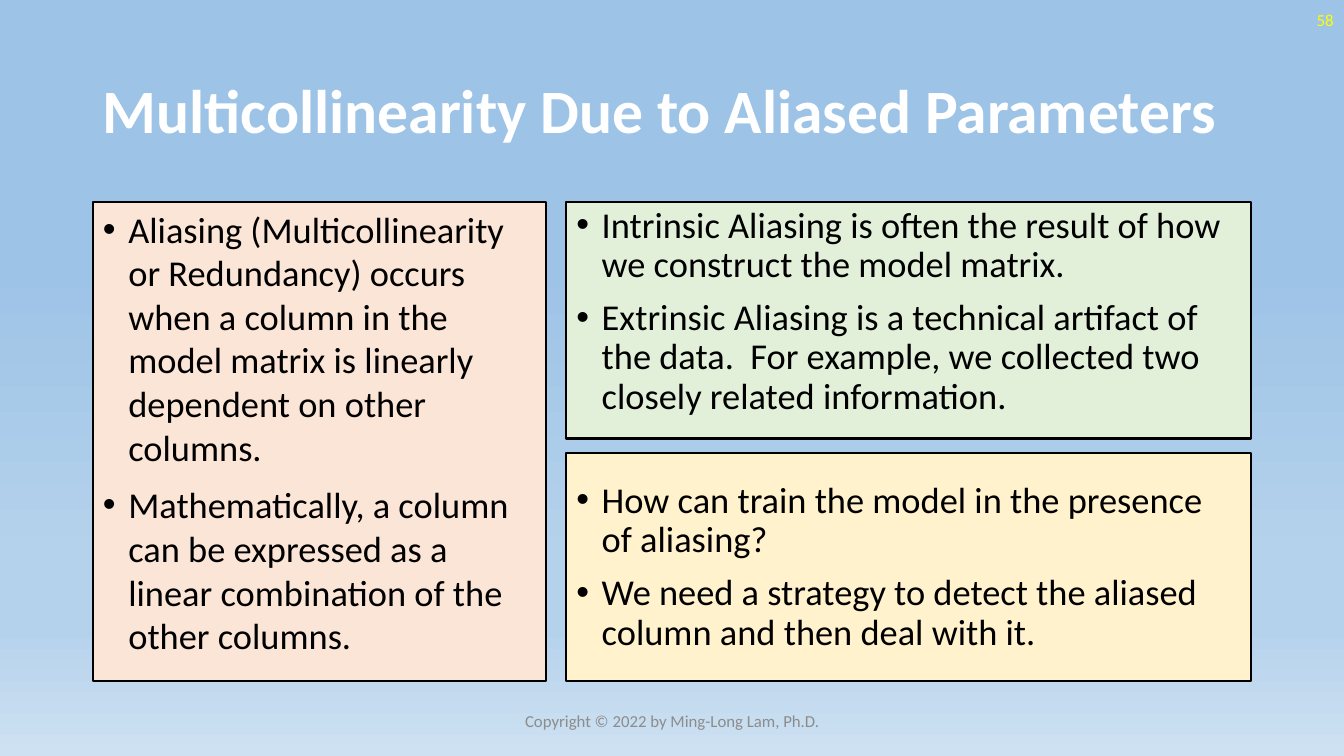
from dataclasses import dataclass

from lxml.etree import SubElement
from pptx import Presentation
from pptx.dml.color import RGBColor
from pptx.enum.text import MSO_ANCHOR as Anchor, MSO_AUTO_SIZE as AutoSize, PP_ALIGN as Align
from pptx.oxml.ns import qn
from pptx.slide import Slide
from pptx.text.text import TextFrame, _Paragraph as Paragraph
from pptx.util import Cm, Pt

FONT = "Calibri"
INDENT = Cm(0.64)
COMPARISON_LAYOUT = 4
GRADIENT = [(35, "9DC3E6"), (74, "B5D2EC"), (83, "B5D2EC"), (100, "CEE1F2")]


@dataclass
class Box:
    left: float
    top: float
    width: float
    height: float


@dataclass
class Panel:
    box: Box
    fill: str
    anchor: Anchor
    line_spacing: float
    bullets: list[str]


@dataclass
class Label:
    box: Box
    text: str
    color: str
    alignment: Align


TITLE_BOX = Box(2.34, 1.02, 29.21, 3.68)
PANELS = [
    Panel(Box(2.34, 5.08, 11.43, 12.09), "FBE5D6", Anchor.TOP, 1.0, [
        "Aliasing (Multicollinearity or Redundancy) occurs when a column in the model matrix "
        "is linearly dependent on other columns.",
        "Mathematically, a column can be expressed as a linear combination of the other columns.",
    ]),
    Panel(Box(14.27, 5.08, 17.25, 5.97), "E2F0D9", Anchor.TOP, 0.9, [
        "Intrinsic Aliasing is often the result of how we construct the model matrix.",
        "Extrinsic Aliasing is a technical artifact of the data.  For example, "
        "we collected two closely related information.",
    ]),
    Panel(Box(14.27, 11.42, 17.25, 5.75), "FFF2CC", Anchor.MIDDLE, 0.9, [
        "How can train the model in the presence of aliasing?",
        "We need a strategy to detect the aliased column and then deal with it.",
    ]),
]
LABELS = [
    Label(Box(11.23, 17.65, 11.43, 1.02), "Copyright © 2022 by Ming-Long Lam, Ph.D.",
          "8C8C8C", Align.CENTER),
    Label(Box(26.24, 0, 7.62, 1.02), "58", "FFFF00", Align.RIGHT),
]


def rgb(color: str) -> RGBColor:
    return RGBColor.from_string(color)


def place(shape, box: Box) -> None:
    shape.left, shape.top = Cm(box.left), Cm(box.top)
    shape.width, shape.height = Cm(box.width), Cm(box.height)


def set_frame(frame: TextFrame, anchor: Anchor) -> None:
    frame.word_wrap = True
    frame.auto_size = AutoSize.NONE
    frame.vertical_anchor = anchor


def format_runs(paragraph: Paragraph, size: float, color: str, bold: bool = False) -> None:
    for run in paragraph.runs:
        run.font.name = FONT
        run.font.size = Pt(size)
        run.font.bold = bold
        run.font.color.rgb = rgb(color)


def add_bullet(paragraph: Paragraph) -> None:
    properties = paragraph._p.get_or_add_pPr()
    properties.set("marL", str(INDENT))
    properties.set("indent", str(-INDENT))
    SubElement(properties, qn("a:buFont")).set("typeface", "Arial")
    SubElement(properties, qn("a:buChar")).set("char", "•")


def paint_background(slide: Slide) -> None:
    fill = slide.background.fill
    fill.gradient()
    fill.gradient_angle = 270
    stops = slide.element.xpath(".//a:gsLst")[0]
    for stop in list(stops):
        stops.remove(stop)
    for percent, color in GRADIENT:
        stop = SubElement(stops, qn("a:gs"))
        stop.set("pos", str(percent * 1000))
        SubElement(stop, qn("a:srgbClr")).set("val", color)


def write_title(slide: Slide, text: str) -> None:
    title = slide.shapes.title
    place(title, TITLE_BOX)
    title.text_frame.text = text
    set_frame(title.text_frame, Anchor.MIDDLE)
    paragraph = title.text_frame.paragraphs[0]
    paragraph.alignment = Align.LEFT
    paragraph.line_spacing = 0.9
    format_runs(paragraph, 44, "FFFFFF", bold=True)


def fill_panel(shape, panel: Panel) -> None:
    place(shape, panel.box)
    shape.fill.solid()
    shape.fill.fore_color.rgb = rgb(panel.fill)
    shape.line.color.rgb = rgb("000000")
    shape.line.width = Pt(1.5)
    frame = shape.text_frame
    frame.text = "\n".join(panel.bullets)
    set_frame(frame, panel.anchor)
    for index, paragraph in enumerate(frame.paragraphs):
        add_bullet(paragraph)
        paragraph.alignment = Align.LEFT
        paragraph.line_spacing = panel.line_spacing
        paragraph.space_before = Pt(10 if index else 0)
        format_runs(paragraph, 26, "000000")


def add_label(slide: Slide, label: Label) -> None:
    box = label.box
    frame = slide.shapes.add_textbox(
        Cm(box.left), Cm(box.top), Cm(box.width), Cm(box.height)).text_frame
    frame.text = label.text
    set_frame(frame, Anchor.MIDDLE)
    paragraph = frame.paragraphs[0]
    paragraph.alignment = label.alignment
    format_runs(paragraph, 12, label.color)


def main() -> None:
    presentation = Presentation()
    presentation.slide_width, presentation.slide_height = Cm(33.87), Cm(19.05)
    slide = presentation.slides.add_slide(presentation.slide_layouts[COMPARISON_LAYOUT])
    paint_background(slide)
    write_title(slide, "Multicollinearity Due to Aliased Parameters")

    _, *bodies, spare = slide.placeholders
    for body, panel in zip(bodies, PANELS):
        fill_panel(body, panel)
    spare.element.getparent().remove(spare.element)

    for label in LABELS:
        add_label(slide, label)
    presentation.save("out.pptx")


if __name__ == "__main__":
    main()
